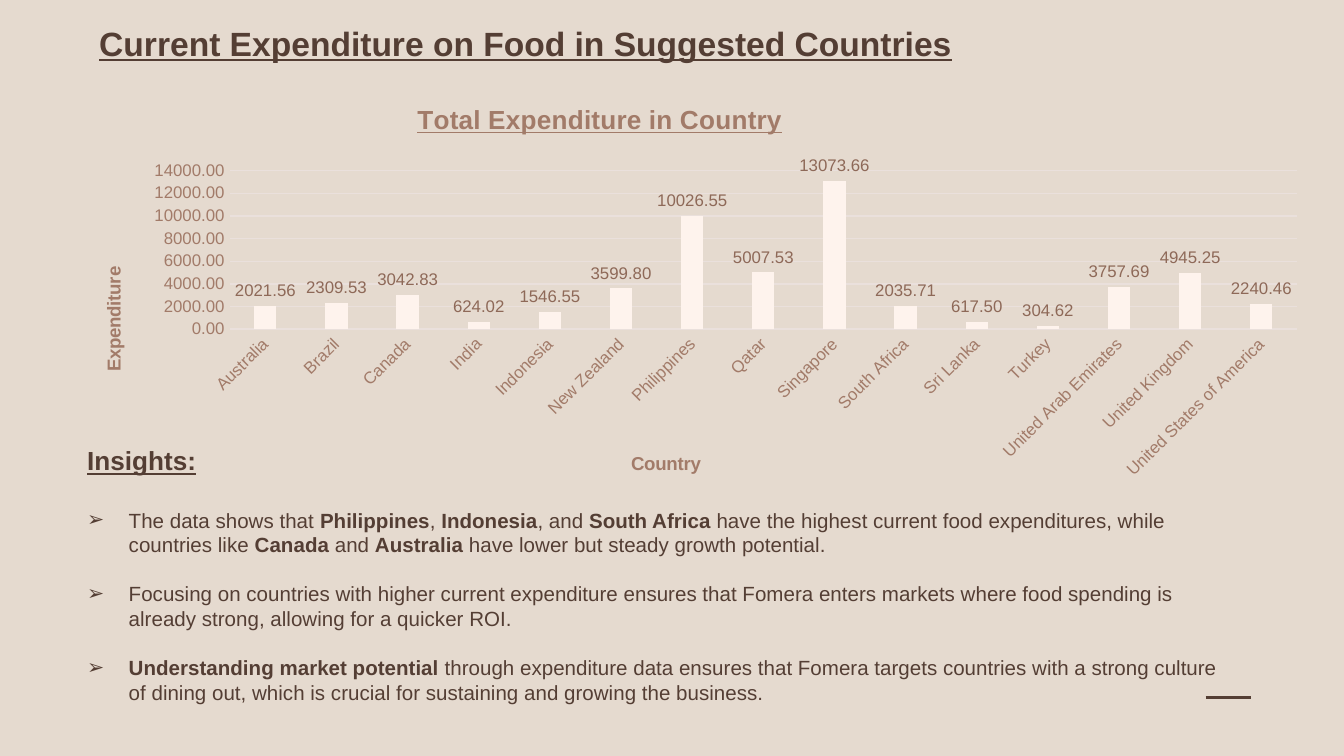
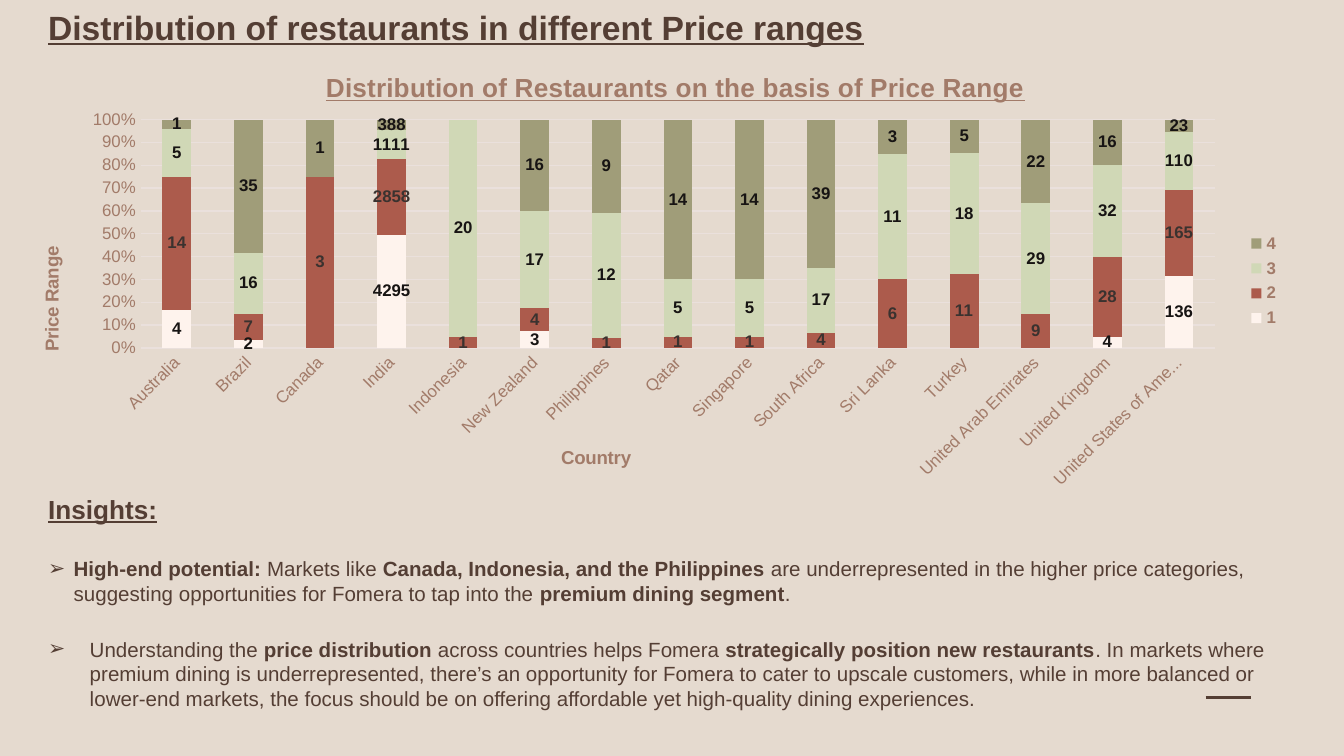
"""Build two slides on food expenditure and restaurant price ranges by country."""
from dataclasses import dataclass
from typing import Any, Optional

import lxml.etree
import pptx
import pptx.chart.data
import pptx.dml.color
import pptx.enum.chart
import pptx.enum.shapes
import pptx.enum.text
import pptx.oxml.ns
import pptx.util

Inches = pptx.util.Inches
Pt = pptx.util.Pt
qn = pptx.oxml.ns.qn
ChartType = pptx.enum.chart.XL_CHART_TYPE
LabelPosition = pptx.enum.chart.XL_LABEL_POSITION


@dataclass(frozen=True)
class Theme:
    font: str = "Arial"
    background: str = "E5DACF"
    ink: str = "543E34"
    clay: str = "A27B69"
    grid: str = "EAE0DC"
    cream: str = "FEF3ED"
    brick: str = "AC5B4C"
    sage: str = "D0D8B6"
    olive: str = "A09D79"
    value_label: str = "8E6958"
    dark_label: str = "171413"
    soft_label: str = "3A322F"
    title: int = 18
    heading: int = 14
    body: int = 11
    axis_title: int = 10
    tick: int = 9


THEME = Theme()


@dataclass(frozen=True)
class Frame:
    left: float
    top: float
    width: float
    height: float


@dataclass(frozen=True)
class Bullet:
    text: str
    indent: float
    gap: float


@dataclass(frozen=True)
class Series:
    name: str
    values: tuple[Optional[float], ...]
    color: str
    label_color: str


@dataclass(frozen=True)
class ChartTitle:
    text: str
    left: float
    top: float


@dataclass(frozen=True)
class ColumnChart:
    kind: Any
    frame: Frame
    plot: Frame
    title: ChartTitle
    category_title: ChartTitle
    value_title: ChartTitle
    series: tuple[Series, ...]
    gap: int
    overlap: int
    label_position: Any
    number_format: str
    label_format: str
    major_unit: Optional[float] = None
    maximum: Optional[float] = None


COUNTRIES = (
    "Australia", "Brazil", "Canada", "India", "Indonesia", "New Zealand",
    "Philippines", "Qatar", "Singapore", "South Africa", "Sri Lanka", "Turkey",
    "United Arab Emirates", "United Kingdom", "United States of America",
)

EXPENDITURE = ColumnChart(
    kind=ChartType.COLUMN_CLUSTERED,
    frame=Frame(0.55, 0.69, 9.27, 3.35),
    plot=Frame(1.16, 0.58, 7.94, 1.18),
    title=ChartTitle("Total Expenditure in Country", 2.52, 0.04),
    category_title=ChartTitle("Country", 4.12, 2.64),
    value_title=ChartTitle("Expenditure", 0.18, 1.27),
    series=(
        Series("Series 1", (2021.56, 2309.53, 3042.83, 624.02, 1546.55, 3599.8,
                            10026.55, 5007.53, 13073.66, 2035.71, 617.5, 304.62,
                            3757.69, 4945.25, 2240.46),
               THEME.cream, THEME.value_label),
    ),
    gap=219, overlap=-27, label_position=LabelPosition.OUTSIDE_END,
    number_format="0.00", label_format="0.00", major_unit=2000, maximum=14000,
)

PRICE_RANGES = ColumnChart(
    kind=ChartType.COLUMN_STACKED_100,
    frame=Frame(0.26, 0.49, 9.36, 3.2),
    plot=Frame(0.79, 0.4, 7.99, 1.7),
    title=ChartTitle("Distribution of Restaurants on the basis of Price Range", 2.13, 0),
    category_title=ChartTitle("Country", 3.89, 2.8),
    value_title=ChartTitle("Price Range", 0.01, 1.32),
    series=(
        Series("1", (4, 2, None, 4295, None, 3, None, None, None, None, None, None,
                     None, 4, 136), THEME.cream, THEME.dark_label),
        Series("2", (14, 7, 3, 2858, 1, 4, 1, 1, 1, 4, 6, 11, 9, 28, 165),
               THEME.brick, THEME.soft_label),
        Series("3", (5, 16, None, 1111, 20, 17, 12, 5, 5, 17, 11, 18, 29, 32, 110),
               THEME.sage, THEME.dark_label),
        Series("4", (1, 35, 1, 388, None, 16, 9, 14, 14, 39, 3, 5, 22, 16, 23),
               THEME.olive, THEME.dark_label),
    ),
    gap=150, overlap=100, label_position=LabelPosition.CENTER,
    number_format="0%", label_format="General",
)

EXPENDITURE_INSIGHTS = (
    Bullet("The data shows that **Philippines**, **Indonesia**, and **South Africa** have the "
           "highest current food expenditures, while countries like **Canada** and "
           "**Australia** have lower but steady growth potential.", 0.31, 16.8),
    Bullet("Focusing on countries with higher current expenditure ensures that Fomera enters "
           "markets where food spending is already strong, allowing for a quicker ROI.",
           0.31, 13.2),
    Bullet("**Understanding market potential** through expenditure data ensures that Fomera "
           "targets countries with a strong culture of dining out, which is crucial for "
           "sustaining and growing the business.", 0.31, 13.2),
)

PRICE_INSIGHTS = (
    Bullet("**High-end potential:** Markets like **Canada, Indonesia, and the Philippines** are "
           "underrepresented in the higher price categories, suggesting opportunities for "
           "Fomera to tap into the **premium dining segment**.", 0.19, 16.8),
    Bullet("Understanding the **price distribution** across countries helps Fomera "
           "**strategically position new restaurants**. In markets where premium dining is "
           "underrepresented, there’s an opportunity for Fomera to cater to upscale customers, "
           "while in more balanced or lower-end markets, the focus should be on offering "
           "affordable yet high-quality dining experiences.", 0.31, 16.8),
)


def rgb(color: str) -> Any:
    return pptx.dml.color.RGBColor.from_string(color)


def style_font(font: Any, *, size: float, color: str, bold: bool = False,
               underline: bool = False) -> None:
    font.name = THEME.font
    font.size = Pt(size)
    font.bold = bold
    font.underline = underline
    font.color.rgb = rgb(color)


def write(para: Any, text: str, *, size: float, color: str = THEME.ink,
          bold: bool = False, underline: bool = False) -> None:
    for index, part in enumerate(text.split("**")):
        if part:
            span = para.add_run()
            span.text = part
            style_font(span.font, size=size, color=color,
                       bold=bold or index % 2 == 1, underline=underline)


def place(frame: Frame) -> tuple[Any, ...]:
    return tuple(Inches(side) for side in (frame.left, frame.top, frame.width, frame.height))


def add_text_box(page: Any, frame: Frame, text: str, size: float) -> Any:
    box = page.shapes.add_textbox(*place(frame))
    box.text_frame.word_wrap = True
    box.text_frame.auto_size = pptx.enum.text.MSO_AUTO_SIZE.SHAPE_TO_FIT_TEXT
    write(box.text_frame.paragraphs[0], text, size=size, bold=True, underline=True)
    return box


def add_insights(page: Any, frame: Frame, bullets: tuple[Bullet, ...]) -> None:
    box = add_text_box(page, frame, "Insights:", THEME.heading)
    for bullet in bullets:
        para = box.text_frame.add_paragraph()
        para.space_before = Pt(bullet.gap)
        properties = para._p.get_or_add_pPr()
        properties.set("marL", str(Inches(bullet.indent)))
        properties.set("indent", str(-Inches(bullet.indent)))
        lxml.etree.SubElement(properties, qn("a:buFont")).set("typeface", THEME.font)
        lxml.etree.SubElement(properties, qn("a:buChar")).set("char", "➢")
        write(para, bullet.text, size=THEME.body)


def set_layout(parent: Any, values: dict[str, Any]) -> None:
    for old in parent.findall(qn("c:layout")):
        parent.remove(old)
    layout = lxml.etree.Element(qn("c:layout"))
    manual = lxml.etree.SubElement(layout, qn("c:manualLayout"))
    for name, value in values.items():
        lxml.etree.SubElement(manual, qn(f"c:{name}")).set("val", str(value))
    parent.insert(0 if parent.find(qn("c:tx")) is None else 1, layout)


def set_title(owner: Any, title: ChartTitle, frame: Frame, *, size: float,
              underline: bool = False) -> None:
    write(owner.text_frame.paragraphs[0], title.text, size=size, color=THEME.clay,
          bold=True, underline=underline)
    set_layout(owner.element, {"xMode": "edge", "yMode": "edge",
                               "x": title.left / frame.width, "y": title.top / frame.height})


def style_axis(axis: Any, title: ChartTitle, frame: Frame) -> None:
    axis.major_tick_mark = axis.minor_tick_mark = pptx.enum.chart.XL_TICK_MARK.NONE
    style_font(axis.tick_labels.font, size=THEME.tick, color=THEME.clay)
    set_title(axis.axis_title, title, frame, size=THEME.axis_title)


def style_line(line: Any, color: str, width: float) -> None:
    line.color.rgb = rgb(color)
    line.width = Pt(width)


def add_column_chart(page: Any, model: ColumnChart) -> None:
    data = pptx.chart.data.CategoryChartData()
    data.categories = COUNTRIES
    for series in model.series:
        data.add_series(series.name, series.values)
    frame, area = model.frame, model.plot
    chart = page.shapes.add_chart(model.kind, *place(frame), data).chart
    style_font(chart.font, size=THEME.axis_title, color=THEME.ink)
    set_title(chart.chart_title, model.title, frame, size=THEME.heading, underline=True)
    set_layout(chart.element.find(f".//{qn('c:plotArea')}"), {
        "layoutTarget": "inner", "xMode": "edge", "yMode": "edge",
        "x": area.left / frame.width, "y": area.top / frame.height,
        "w": area.width / frame.width, "h": area.height / frame.height})

    categories, values = chart.category_axis, chart.value_axis
    style_axis(categories, model.category_title, frame)
    style_axis(values, model.value_title, frame)
    style_line(categories.format.line, THEME.grid, 0.75)
    body = categories._element.find(f"{qn('c:txPr')}/{qn('a:bodyPr')}")
    body.set("rot", str(-45 * 60000))
    body.set("vert", "horz")
    values.format.line.fill.background()
    values.has_major_gridlines = True
    style_line(values.major_gridlines.format.line, THEME.grid, 0.75)
    values.tick_labels.number_format = model.number_format
    values.tick_labels.number_format_is_linked = False
    if model.maximum:
        values.minimum_scale, values.maximum_scale = 0, model.maximum
        values.major_unit = model.major_unit

    chart.has_legend = len(model.series) > 1
    if chart.has_legend:
        chart.legend.position = pptx.enum.chart.XL_LEGEND_POSITION.RIGHT
        chart.legend.include_in_layout = False
        style_font(chart.legend.font, size=THEME.tick, color=THEME.clay, bold=True)
    plot = chart.plots[0]
    plot.vary_by_categories = False
    plot.gap_width, plot.overlap = model.gap, model.overlap
    for drawn, series in zip(plot.series, model.series):
        drawn.format.fill.solid()
        drawn.format.fill.fore_color.rgb = rgb(series.color)
        labels = drawn.data_labels
        labels.show_value = True
        labels.position = model.label_position
        labels.number_format = model.label_format
        labels.number_format_is_linked = False
        style_font(labels.font, size=THEME.tick, color=series.label_color,
                   bold=chart.has_legend)


def add_page(deck: Any, title: str, frame: Frame) -> Any:
    page = deck.slides.add_slide(deck.slide_layouts[6])
    page.background.fill.solid()
    page.background.fill.fore_color.rgb = rgb(THEME.background)
    dash = page.shapes.add_connector(
        pptx.enum.shapes.MSO_CONNECTOR.STRAIGHT,
        Inches(8.97), Inches(5.19), Inches(9.31), Inches(5.19))
    style_line(dash.line, THEME.ink, 1.25)
    lxml.etree.SubElement(dash._element.spPr, qn("a:effectLst"))
    add_text_box(page, frame, title, THEME.title)
    return page


def main() -> None:
    deck = pptx.Presentation()
    deck.slide_width = Inches(10)
    deck.slide_height = deck.slide_width * 9 // 16
    page = add_page(deck, "Current Expenditure on Food in Suggested Countries",
                    Frame(0.64, 0.12, 7.9, 0.4))
    add_insights(page, Frame(0.55, 3.26, 8.74, 2.52), EXPENDITURE_INSIGHTS)
    add_column_chart(page, EXPENDITURE)
    page = add_page(deck, "Distribution of restaurants in different Price ranges",
                    Frame(0.26, 0, 6.98, 0.4))
    add_column_chart(page, PRICE_RANGES)
    add_insights(page, Frame(0.26, 3.62, 9.36, 1.92), PRICE_INSIGHTS)
    deck.save("out.pptx")


if __name__ == "__main__":
    main()
